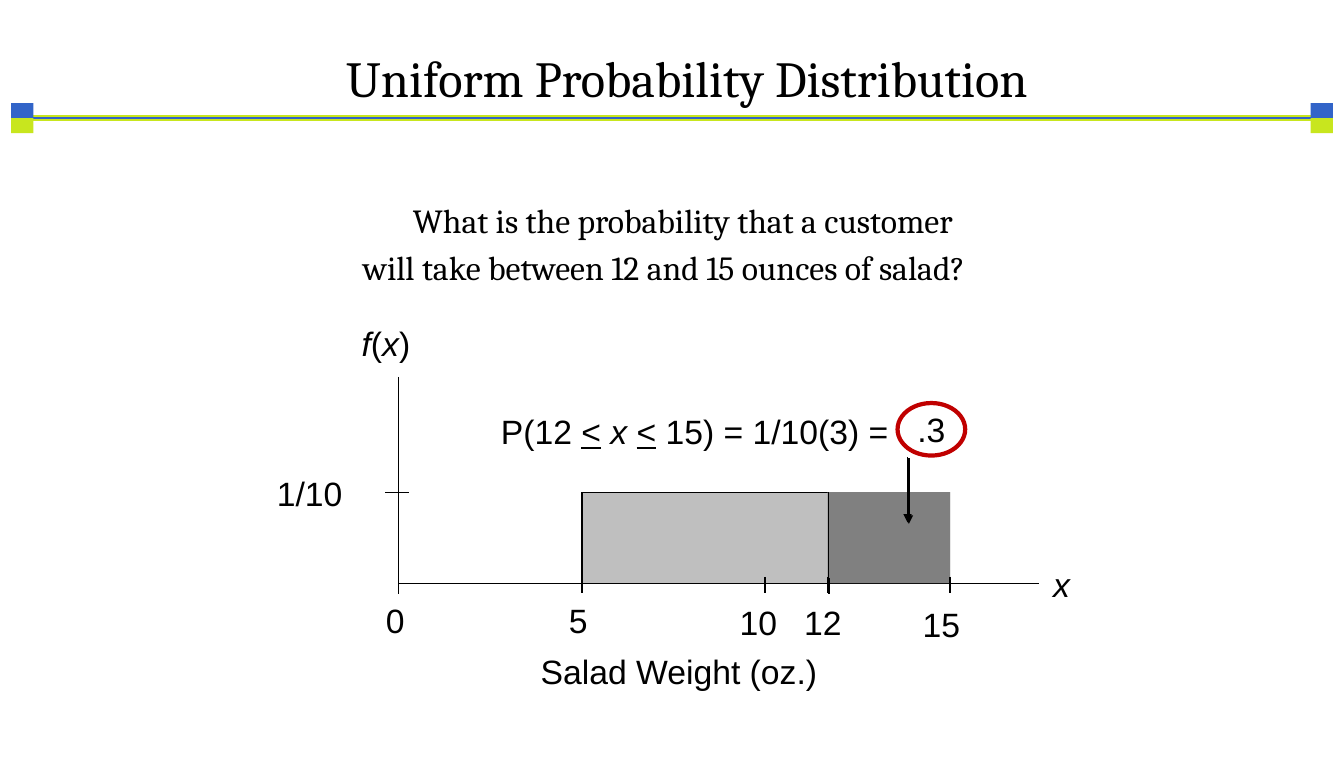
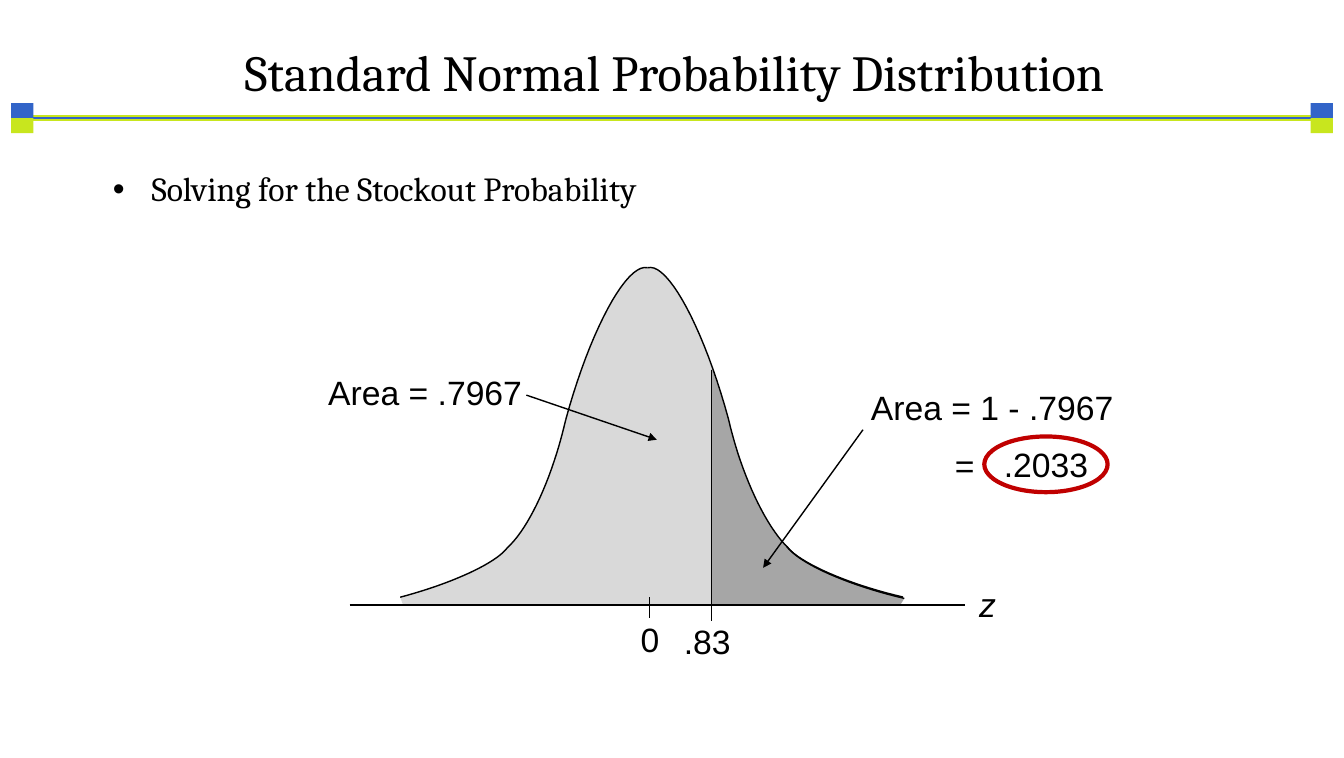
from dataclasses import dataclass

from lxml import etree
from pptx import Presentation
from pptx.dml.color import RGBColor
from pptx.enum.shapes import MSO_CONNECTOR, MSO_SHAPE
from pptx.enum.text import MSO_ANCHOR, PP_ALIGN
from pptx.oxml.ns import qn
from pptx.util import Cm, Pt

STRAIGHT = MSO_CONNECTOR.STRAIGHT
RECT, OVAL = MSO_SHAPE.RECTANGLE, MSO_SHAPE.OVAL
CENTER, MIDDLE = PP_ALIGN.CENTER, MSO_ANCHOR.MIDDLE


@dataclass(frozen=True)
class Theme:
    """Colours, fonts and sizes of both slides."""
    ink: str = "000000"
    blue: str = "3264C8"
    lime: str = "C8E61E"
    ring: str = "C00000"
    uniform: str = "BFBFBF"
    uniform_part: str = "808080"
    bell: str = "D9D9D9"
    bell_tail: str = "A6A6A6"
    serif: str = "Cambria"
    sans: str = "Arial"
    title_pt: int = 36
    body_pt: int = 24


T = Theme()


def rgb(value):
    return RGBColor.from_string(value)


def set_font(p, name=T.sans, size=T.body_pt):
    p.font.name = name
    p.font.size = Pt(size)
    p.font.color.rgb = rgb(T.ink)


def cast_shadow(shape, angle=None):
    """Replace the inherited shadow; with an angle, add a thin hard one."""
    sp_pr = shape._element.spPr
    effects = sp_pr.find(qn("a:effectLst"))
    if effects is None:
        effects = etree.SubElement(sp_pr, qn("a:effectLst"))
    if angle is not None:
        outer = etree.SubElement(effects, qn("a:outerShdw"), dist=str(Pt(1.4)),
                                 dir=str(angle * 60000), algn="ctr",
                                 rotWithShape="0")
        etree.SubElement(outer, qn("a:srgbClr"), val=T.ink)


def style(shape, fill=None, line=None, width=1):
    if fill:
        shape.fill.solid()
        shape.fill.fore_color.rgb = rgb(fill)
    else:
        shape.fill.background()
    if line:
        shape.line.color.rgb = rgb(line)
        shape.line.width = Pt(width)
    else:
        shape.line.fill.background()
    shape.shadow.inherit = False


# Kinds of element

def add_line(s, x1, y1, x2, y2, color=T.ink, width=1, arrow=False, shadow=None):
    c = s.shapes.add_connector(STRAIGHT, Cm(x1), Cm(y1), Cm(x2), Cm(y2))
    c.line.color.rgb = rgb(color)
    c.line.width = Pt(width)
    if arrow:
        ln = c._element.spPr.find(qn("a:ln"))
        etree.SubElement(ln, qn("a:tailEnd"), type="triangle")
    cast_shadow(c, shadow)


def add_block(s, x, y, w, h, color):
    style(s.shapes.add_shape(RECT, Cm(x), Cm(y), Cm(w), Cm(h)), color)


def add_outline(s, points, fill=None, line=None, shadow=None):
    pts = [(Cm(x), Cm(y)) for x, y in points]
    builder = s.shapes.build_freeform(*pts[0])
    builder.add_line_segments(pts[1:], close=fill is not None)
    sp = builder.convert_to_shape()
    style(sp, fill, line)
    cast_shadow(sp, shadow)


def add_box(s, x, y, w, h, wrap=True):
    tf = s.shapes.add_textbox(Cm(x), Cm(y), Cm(w), Cm(h)).text_frame
    tf.word_wrap = wrap
    return tf


def add_label(s, x, y, w, *runs):
    """One line of text; a run is a string or (string, "i" or "u")."""
    p = add_box(s, x, y, w, 1.27, wrap=False).paragraphs[0]
    set_font(p)
    for run in runs:
        text, look = run if isinstance(run, tuple) else (run, "")
        r = p.add_run()
        r.text = text
        if look == "i":
            r.font.italic = True
        elif look == "u":
            r.font.underline = True


def add_ringed(s, x, y, w, h, text):
    sp = s.shapes.add_shape(OVAL, Cm(x), Cm(y), Cm(w), Cm(h))
    style(sp, line=T.ring, width=3)
    tf = sp.text_frame
    tf.word_wrap = False
    tf.vertical_anchor = MIDDLE
    tf.margin_left = tf.margin_right = tf.margin_top = tf.margin_bottom = 0
    p = tf.paragraphs[0]
    p.text = text
    p.alignment = CENTER
    set_font(p)


def add_frame(s, title, x, y):
    """Title and the ruled band below it."""
    left, right, mid, w, h = 0.28, 32.94, 2.97, 0.56, 0.38
    for color, width in ((T.lime, 4.5), (T.blue, 1.75)):
        add_line(s, left + w, mid, right, mid, color, width)
    for edge in (left, right):
        add_block(s, edge, mid - h, w, h, T.blue)
        add_block(s, edge, mid, w, h, T.lime)
    p = add_box(s, x, y, 28.73, 1.4).paragraphs[0]
    p.text = title
    p.alignment = CENTER
    p.line_spacing = 0.9
    set_font(p, T.serif, T.title_pt)


def bezier(p0, p1, p2, p3, steps=20):
    def at(t):
        u = 1 - t
        weights = (u ** 3, 3 * u * u * t, 3 * u * t * t, t ** 3)
        return tuple(sum(k * p[i] for k, p in zip(weights, (p0, p1, p2, p3)))
                     for i in (0, 1))
    return [at(n / steps) for n in range(steps + 1)]


# Slides

def uniform_slide(s):
    add_frame(s, "Uniform Probability Distribution", 2.9, 1.24)

    # Question
    tf = add_box(s, 7.04, 4.9, 19.13, 2.72)
    lines = (("What is the probability that a customer", 3.09),
             ("will take between 12 and 15 ounces of salad?", 1.83))
    for i, (text, indent) in enumerate(lines):
        p = tf.add_paragraph() if i else tf.paragraphs[0]
        p.text = text
        p._p.get_or_add_pPr().set("marL", str(Cm(indent)))
        if i:
            p.space_before = Pt(4.8)
        set_font(p, T.serif)

    # Density and axes
    zero, five, ten, twelve, fifteen = 10.01, 14.63, 19.23, 20.8, 23.88
    top, base = 12.37, 14.66
    add_block(s, five, top, fifteen - five, base - top, T.uniform)
    add_line(s, zero, 9.47, zero, 14.94)
    add_line(s, five, top, fifteen, top)
    add_line(s, zero, base, 26.11, base)
    add_line(s, 9.68, top, 10.29, top)
    add_line(s, five, top, five, base)
    add_block(s, twelve, top, fifteen - twelve, base - top, T.uniform_part)
    add_line(s, twelve + 0.03, top, twelve + 0.03, base)

    # Ticks: position, label left, label top
    ticks = (("0", None, 9.45, 14.96), ("5", five, 14.05, 14.96),
             ("10", ten, 18.34, 15.01), ("12", twelve, 19.96, 15.01),
             ("15", fifteen, 22.94, 15.06))
    for text, x, label_x, label_y in ticks:
        if x:
            add_line(s, x, 14.5, x, 14.9, shadow=45 if text == "12" else None)
        add_label(s, label_x, label_y, 0.52 + 0.47 * len(text), text)

    # Axis names
    add_label(s, 8.84, 8, 1.75, ("f", "i"), "(", ("x", "i"), ")")
    add_label(s, 26.22, 14.05, 0.94, ("x", "i"))
    add_label(s, 6.71, 11.76, 2.18, "1/10")
    add_label(s, 13.34, 16.23, 7.52, "Salad Weight (oz.)")

    # Result
    add_label(s, 12.34, 10.19, 10.3, "P(12 ", ("<", "u"), " ", ("x ", "i"),
              ("<", "u"), " 15) = 1/10(3) =")
    add_ringed(s, 22.56, 10.13, 1.7, 1.32, ".3")
    add_line(s, 22.81, 11.48, 22.81, 13.13, arrow=True, shadow=45)


def normal_slide(s):
    add_frame(s, "Standard Normal Probability Distribution", 2.59, 1.09)

    # Bullet
    p = add_box(s, 2.59, 4.22, 28.73, 1.42).paragraphs[0]
    p.text = "Solving for the Stockout Probability"
    p_pr = p._p.get_or_add_pPr()
    p_pr.set("marL", str(Cm(0.97)))
    p_pr.set("indent", str(-Cm(0.97)))
    etree.SubElement(p_pr, qn("a:buFont"), typeface=T.sans)
    etree.SubElement(p_pr, qn("a:buChar"), char="•")
    p.line_spacing = 0.9
    set_font(p, T.serif)

    # Bell curve: each arc starts where the one before ends
    knots = ((10.06, 15.01), (11.38, 14.66), (12.47, 14.15), (12.75, 13.77),
             (13.31, 13.26), (13.89, 11.99), (14.22, 10.55),
             (14.83, 8.31), (15.75, 6.6), (16.28, 6.73),
             (16.79, 6.58), (17.7, 8.28), (18.31, 10.53),
             (18.64, 11.96), (19.25, 13.23), (19.81, 13.77),
             (20.12, 14.17), (21.31, 14.71), (22.73, 15.04))
    arcs = [bezier(*knots[i:i + 4]) for i in range(0, len(knots) - 1, 3)]
    curve = [point for arc in arcs for point in arc]
    base, cut, cut_top = 15.2, 17.88, 9.3
    end = (22.63, base)
    add_outline(s, curve + [end, (10.13, base)], fill=T.bell)
    tail = [point for point in curve if point[0] > cut]
    add_outline(s, [(cut, cut_top)] + tail + [end, (cut, base)],
                fill=T.bell_tail)
    for arc in arcs:
        add_outline(s, arc, line=T.ink, shadow=225 if arc is arcs[-1] else None)

    # Axis
    add_line(s, 8.79, base, 24.26, base)
    add_line(s, 16.33, 15.01, 16.33, 15.52)
    add_line(s, cut, cut_top, cut, 15.6)
    add_label(s, 15.85, 15.44, 0.99, "0")
    add_label(s, 16.94, 15.47, 1.7, ".83")
    add_label(s, 24.36, 14.55, 0.94, ("z", "i"))

    # Areas
    add_label(s, 8, 9.22, 5.44, "Area = .7967")
    add_line(s, 13.23, 9.93, 16.51, 11.05, arrow=True)
    add_label(s, 21.64, 9.6, 6.65, "Area = 1 - .7967")
    add_label(s, 23.75, 11.05, 1, "=")
    add_ringed(s, 24.74, 10.97, 3.1, 1.4, ".2033")
    add_line(s, 21.69, 10.8, 19.18, 14.27, arrow=True)


def main():
    prs = Presentation()
    prs.slide_width, prs.slide_height = Cm(33.78), Cm(19.05)
    for build in (uniform_slide, normal_slide):
        build(prs.slides.add_slide(prs.slide_layouts[6]))
    prs.save("out.pptx")


if __name__ == "__main__":
    main()
